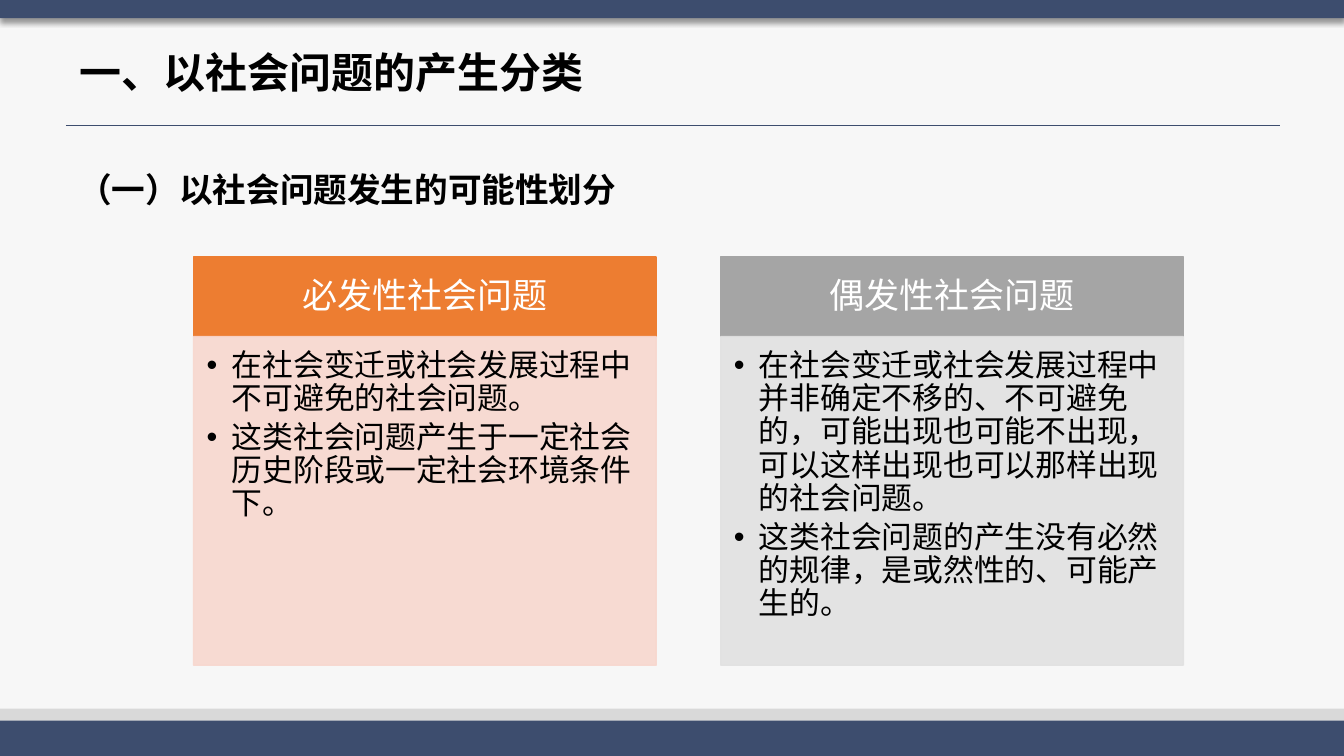
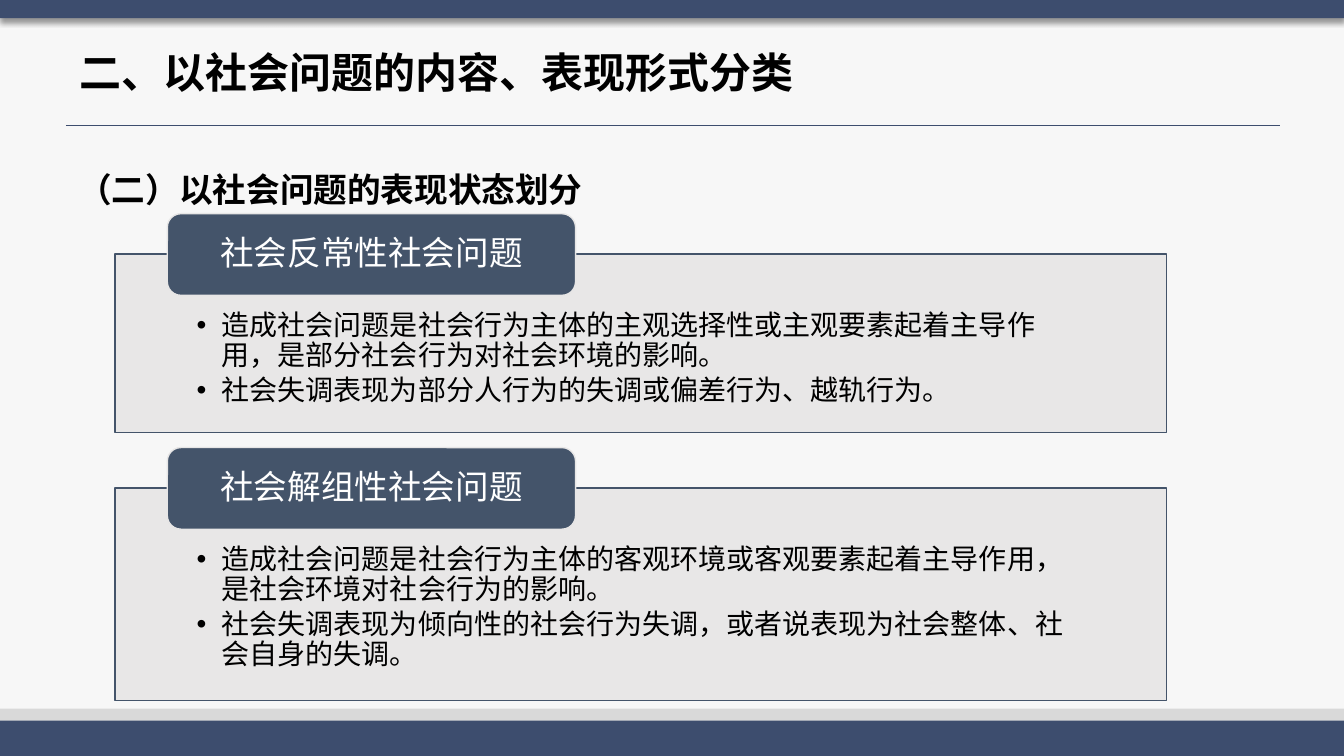
from dataclasses import dataclass

from lxml.etree import SubElement
from pptx import Presentation
from pptx.dml.color import RGBColor
from pptx.enum.shapes import MSO_CONNECTOR, MSO_SHAPE
from pptx.enum.text import MSO_ANCHOR as Anchor, PP_ALIGN as Align
from pptx.oxml.ns import qn
from pptx.util import Emu, Inches, Pt

NAVY, SLATE, BLACK, WHITE = "3D4D6E", "44546A", "000000", "FFFFFF"
PAPER, SILVER, MIST = "F7F7F7", "D9D9D9", "E7E6E6"
CJK = "Noto Sans CJK SC"
COLUMNS, ROWS = 160, 90
WIDTH, HEIGHT = Inches(13.333), Inches(7.5)


@dataclass(frozen=True)
class Area:
    """A rectangle in columns and rows of the slide grid."""
    col: float
    row: float
    cols: float
    rows: float


@dataclass(frozen=True)
class TextStyle:
    size: float
    color: str = BLACK
    bold: bool = False
    latin: str = CJK
    align: Align = Align.LEFT
    anchor: Anchor = Anchor.MIDDLE
    spacing: float = 0.9
    after: float = 0
    bullet: bool = False
    insets: tuple[float, float, float, float] = (0.1, 0.05, 0.1, 0.05)


@dataclass(frozen=True)
class Look:
    fill: str
    line: str | None = None
    alpha: int = 100
    line_alpha: int = 100


@dataclass(frozen=True)
class Panel:
    heading: str
    points: tuple[str, ...]
    head: Area
    body: Area
    head_look: Look
    body_look: Look


@dataclass(frozen=True)
class PanelStyle:
    heading: TextStyle
    points: TextStyle
    head_shape: MSO_SHAPE
    head_on_top: bool


@dataclass(frozen=True)
class Topic:
    title: str
    subtitle: str
    style: PanelStyle
    panels: tuple[Panel, ...]


TITLE_AREA = Area(8.32, 4.2, 143.76, 9.48)
SUBTITLE_AREA = Area(8.16, 17.16, 146.16, 10.8)
TOP_BAND = Area(0, 0, COLUMNS, 2.16)
FOOTER_BANDS = ((Area(0, 84.36, COLUMNS, 4.2), SILVER), (Area(0, 85.8, COLUMNS, 4.2), NAVY))
RULE = Area(7.84, 14.88, 144.56, 0)

TITLE = TextStyle(30, bold=True)
SUBTITLE = TextStyle(24, bold=True, spacing=1.0)
COLUMN_STYLE = PanelStyle(
    TextStyle(25, WHITE, latin="Calibri", align=Align.CENTER, insets=(0.19, 0.11, 0.19, 0.11)),
    TextStyle(22, anchor=Anchor.TOP, after=4, bullet=True, insets=(0.13, 0.13, 0.17, 0.19)),
    MSO_SHAPE.RECTANGLE, False)
TABBED_STYLE = PanelStyle(
    TextStyle(24, WHITE, align=Align.CENTER, insets=(0.32, 0, 0.32, 0)),
    TextStyle(20, anchor=Anchor.TOP, after=3, bullet=True, insets=(0.81, 0.57, 0.81, 0.16)),
    MSO_SHAPE.ROUNDED_RECTANGLE, True)


def column_panel(index: int, color: str, tint: str, heading: str, *points: str) -> Panel:
    col = 23.04 + index * 62.76
    return Panel(heading, points, Area(col, 30.6, 55.08, 9.48), Area(col, 40.08, 55.08, 39.12),
                 Look(color, color), Look(tint, tint, 90, 90))


def tabbed_panel(row: float, rows: float, heading: str, *points: str) -> Panel:
    """A wide box whose heading tab straddles the top edge."""
    return Panel(heading, points, Area(19.92, row - 4.8, 48.6, 9.72),
                 Area(13.68, row, 125.16, rows), Look(SLATE, MIST), Look(MIST, SLATE, 90))


TOPICS = (
    Topic("一、以社会问题的产生分类", "（一）以社会问题发生的可能性划分", COLUMN_STYLE, (
        column_panel(0, "ED7D31", "F8D7CE", "必发性社会问题",
                     "在社会变迁或社会发展过程中不可避免的社会问题。",
                     "这类社会问题产生于一定社会历史阶段或一定社会环境条件下。"),
        column_panel(1, "A5A5A5", "E1E1E1", "偶发性社会问题",
                     "在社会变迁或社会发展过程中并非确定不移的、不可避免的，可能出现也可能不出现，"
                     "可以这样出现也可以那样出现的社会问题。",
                     "这类社会问题的产生没有必然的规律，是或然性的、可能产生的。"),
    )),
    Topic("二、以社会问题的内容、表现形式分类", "（二）以社会问题的表现状态划分", TABBED_STYLE, (
        tabbed_panel(30.24, 21.24, "社会反常性社会问题",
                     "造成社会问题是社会行为主体的主观选择性或主观要素起着主导作用，"
                     "是部分社会行为对社会环境的影响。",
                     "社会失调表现为部分人行为的失调或偏差行为、越轨行为。"),
        tabbed_panel(58.08, 25.32, "社会解组性社会问题",
                     "造成社会问题是社会行为主体的客观环境或客观要素起着主导作用，"
                     "是社会环境对社会行为的影响。",
                     "社会失调表现为倾向性的社会行为失调，或者说表现为社会整体、社会自身的失调。"),
    )),
)


def paint(target, color: str, alpha: int = 100) -> None:
    """Colour a fill solidly, with an opacity in percent."""
    target.solid()
    target.fore_color.rgb = RGBColor.from_string(color)
    if alpha < 100:
        color_node = next(target._xPr.iter(qn("a:srgbClr")))
        SubElement(color_node, qn("a:alpha"), val=str(alpha * 1000))


def place(area: Area) -> tuple[Emu, Emu, Emu, Emu]:
    return (Emu(round(area.col * WIDTH / COLUMNS)), Emu(round(area.row * HEIGHT / ROWS)),
            Emu(round(area.cols * WIDTH / COLUMNS)), Emu(round(area.rows * HEIGHT / ROWS)))


def add_box(page, area: Area, look: Look, kind: MSO_SHAPE = MSO_SHAPE.RECTANGLE):
    box = page.shapes.add_shape(kind, *place(area))
    box.shadow.inherit = False
    paint(box.fill, look.fill, look.alpha)
    if look.line:
        box.line.width = Pt(1)
        paint(box.line.fill, look.line, look.line_alpha)
    else:
        box.line.fill.background()
    return box


def write(box, style: TextStyle, *texts: str) -> None:
    frame = box.text_frame
    sides = ("margin_left", "margin_top", "margin_right", "margin_bottom")
    frame_format = dict(zip(sides, map(Inches, style.insets)))
    frame_format |= {"word_wrap": True, "vertical_anchor": style.anchor}
    for name, value in frame_format.items():
        setattr(frame, name, value)
    para_format = {"alignment": style.align, "line_spacing": style.spacing,
                   "space_after": Pt(style.after)}
    span_format = {"size": Pt(style.size), "bold": style.bold, "name": style.latin}
    for index, text in enumerate(texts):
        para = frame.add_paragraph() if index else frame.paragraphs[0]
        if style.bullet:
            props = para._p.get_or_add_pPr()
            bullet_format = {"marL": Inches(0.25), "indent": -Inches(0.25), "hangingPunct": 0}
            for name, value in bullet_format.items():
                props.set(name, str(value))
            SubElement(props, qn("a:buFont"), typeface="Arial")
            SubElement(props, qn("a:buChar"), char="•")
        for name, value in para_format.items():
            setattr(para, name, value)
        span = para.add_run()
        span.text = text
        paint(span.font.fill, style.color)
        for name, value in span_format.items():
            setattr(span.font, name, value)
        SubElement(span._r.get_or_add_rPr(), qn("a:ea"), typeface=CJK)


def add_label(page, area: Area, style: TextStyle, text: str) -> None:
    write(page.shapes.add_textbox(*place(area)), style, text)


def drop_shadow(box) -> None:
    effects = box._element.spPr.find(qn("a:effectLst"))
    shadow = SubElement(effects, qn("a:outerShdw"), blurRad=str(Pt(4)), dist=str(Pt(3)),
                        dir="5400000", algn="t", rotWithShape="0")
    color = SubElement(shadow, qn("a:srgbClr"), val=BLACK)
    SubElement(color, qn("a:alpha"), val="40000")


def add_frame(page) -> None:
    """Background, bands and title rule common to every page."""
    paint(page.background.fill, PAPER)
    for area, color in FOOTER_BANDS:
        add_box(page, area, Look(color))
    left, top, width, _ = place(RULE)
    rule = page.shapes.add_connector(MSO_CONNECTOR.STRAIGHT, left, top, left + width, top)
    rule.line.width = Pt(0.5)
    paint(rule.line.fill, NAVY)
    SubElement(rule._element.spPr, qn("a:effectLst"))
    drop_shadow(add_box(page, TOP_BAND, Look(NAVY)))


def add_panel(page, panel: Panel, style: PanelStyle) -> None:
    parts = [
        (panel.head, panel.head_look, style.head_shape, style.heading, (panel.heading,)),
        (panel.body, panel.body_look, MSO_SHAPE.RECTANGLE, style.points, panel.points),
    ]
    for area, look, kind, text_style, texts in reversed(parts) if style.head_on_top else parts:
        write(add_box(page, area, look, kind), text_style, *texts)


def main() -> None:
    deck = Presentation()
    deck.slide_width, deck.slide_height = WIDTH, HEIGHT
    for topic in TOPICS:
        page = deck.slides.add_slide(deck.slide_layouts[6])
        add_frame(page)
        add_label(page, TITLE_AREA, TITLE, topic.title)
        add_label(page, SUBTITLE_AREA, SUBTITLE, topic.subtitle)
        for panel in topic.panels:
            add_panel(page, panel, topic.style)
    deck.save("out.pptx")


if __name__ == "__main__":
    main()
